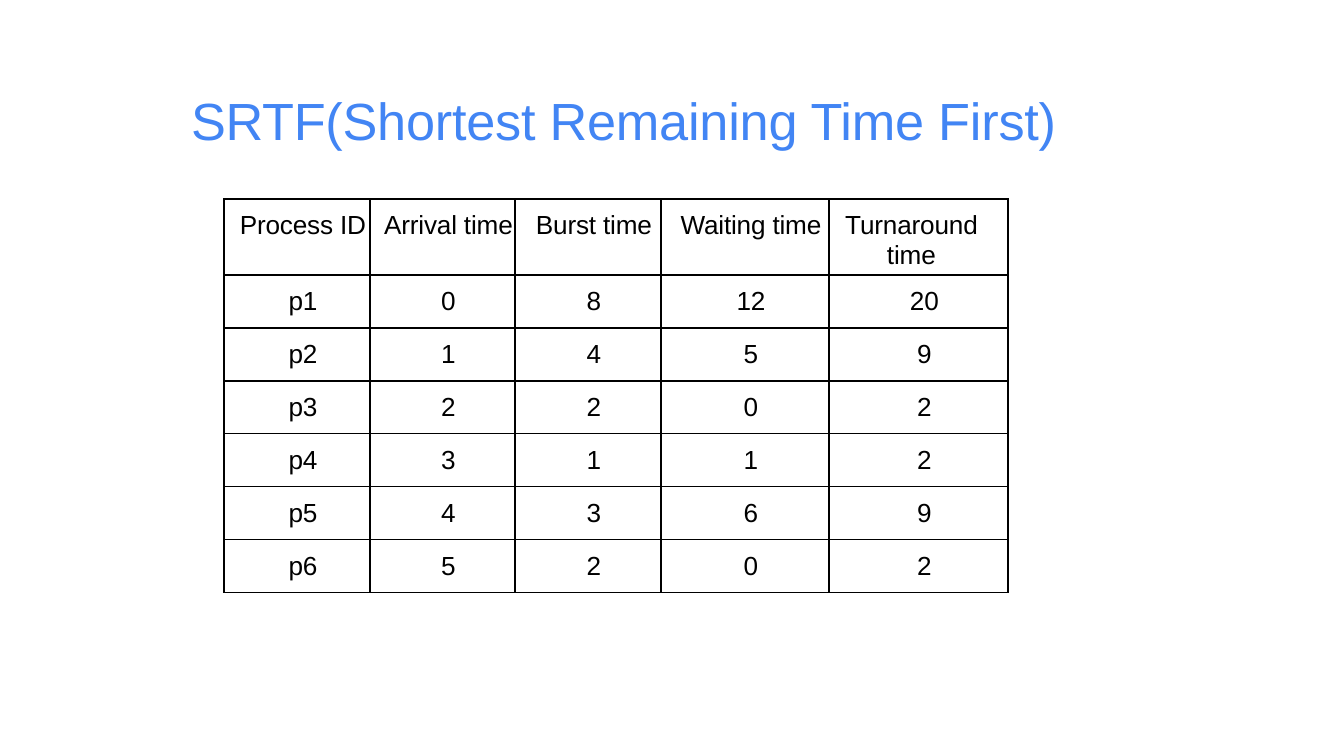
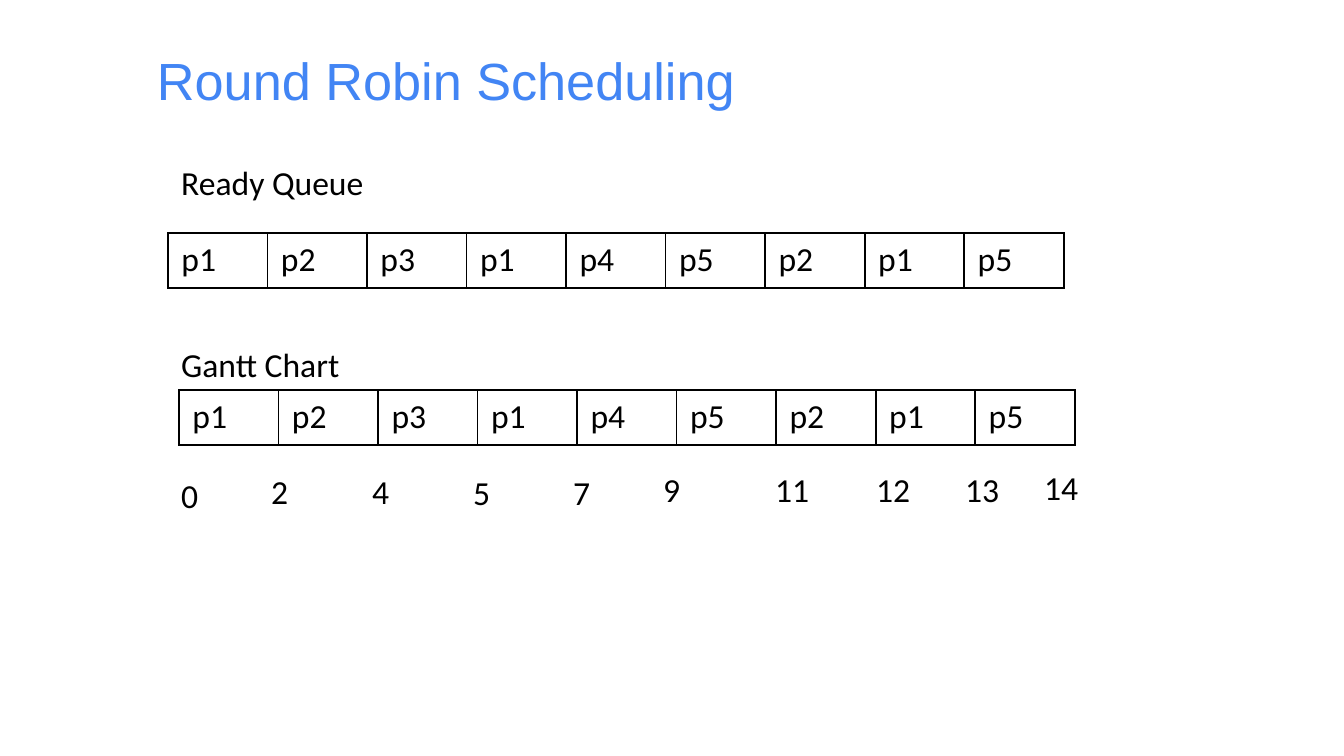
from lxml import etree
from pptx import Presentation
from pptx.dml.color import RGBColor
from pptx.enum.text import MSO_ANCHOR, MSO_AUTO_SIZE, PP_ALIGN
from pptx.oxml.ns import qn
from pptx.util import Pt

TOP = MSO_ANCHOR.TOP
GROW = MSO_AUTO_SIZE.SHAPE_TO_FIT_TEXT
LEFT, CENTER = PP_ALIGN.LEFT, PP_ALIGN.CENTER

BLUE = RGBColor(0x42, 0x85, 0xF4)
BLACK = RGBColor(0, 0, 0)
PX = 914400 / 134.4

SRTF_TITLE = "SRTF(Shortest Remaining Time First)"
SRTF_ROWS = [
    ("Process ID", "Arrival time", "Burst time", "Waiting time", "Turnaround time"),
    ("p1", "0", "8", "12", "20"),
    ("p2", "1", "4", "5", "9"),
    ("p3", "2", "2", "0", "2"),
    ("p4", "3", "1", "1", "2"),
    ("p5", "4", "3", "6", "9"),
    ("p6", "5", "2", "0", "2"),
]
SRTF_WIDTHS = [146, 145, 146, 168, 179]
SRTF_HEIGHTS = [76] + [53] * 6

ROBIN_TITLE = "Round Robin Scheduling"
QUEUE = ("p1", "p2", "p3", "p1", "p4", "p5", "p2", "p1", "p5")
QUEUE_WIDTHS = [896 / len(QUEUE)] * len(QUEUE)
QUEUE_HEIGHT = 55
QUEUE_PLACES = [(179, 390), (168, 233)]
HEADINGS = [("Ready Queue", 168, 155, 302), ("Gantt Chart", 168, 337, 231)]
TIMES = [
    ("0", 168, 468), ("2", 258, 464), ("4", 359, 464), ("5", 460, 465),
    ("7", 560, 465), ("9", 650, 462), ("11", 762, 462), ("12", 863, 462),
    ("13", 952, 462), ("14", 1031, 460),
]


def px(n):
    return round(n * PX)


def set_font(p, name, size, color):
    p.font.name = name
    p.font.size = Pt(size)
    p.font.color.rgb = color


def tighten(p):
    for r in p.runs:
        r._r.get_or_add_rPr().set("spc", "-10")


def add_slide(prs, title, x, y, w, h):
    s = prs.slides.add_slide(prs.slide_layouts[5])
    sp = s.shapes.title
    sp.left, sp.top, sp.width, sp.height = map(px, (x, y, w, h))
    tf = sp.text_frame
    tf.text = title
    tf.margin_left = tf.margin_top = tf.margin_right = tf.margin_bottom = 0
    tf.vertical_anchor = TOP
    tf.auto_size = GROW
    p = tf.paragraphs[0]
    p.alignment = LEFT
    set_font(p, "Arial", 28, BLUE)
    return s


def set_borders(cell, width):
    tcPr = cell._tc.get_or_add_tcPr()
    for side in ("a:lnL", "a:lnR", "a:lnT", "a:lnB"):
        ln = etree.SubElement(tcPr, qn(side), w=str(Pt(width)))
        fill = etree.SubElement(ln, qn("a:solidFill"))
        etree.SubElement(fill, qn("a:srgbClr"), val=str(BLACK))


def add_grid(s, rows, x, y, widths, heights, font, size, border):
    frame = s.shapes.add_table(len(rows), len(widths), px(x), px(y),
                               px(sum(widths)), px(sum(heights)))
    table = frame.table
    table.first_row = table.horz_banding = False
    for column, w in zip(table.columns, widths):
        column.width = px(w)
    for row, h, texts in zip(table.rows, heights, rows):
        row.height = px(h)
        for cell, text in zip(row.cells, texts):
            cell.text = text
            set_borders(cell, border)
            cell.fill.background()
            set_font(cell.text_frame.paragraphs[0], font, size, BLACK)
    return table


def add_label(s, text, x, y, w, wrap):
    tf = s.shapes.add_textbox(px(x), px(y), px(w), px(54)).text_frame
    tf.text = text
    tf.word_wrap = wrap
    tf.auto_size = GROW
    set_font(tf.paragraphs[0], "Calibri", 18, BLACK)


def build_srtf(prs):
    s = add_slide(prs, SRTF_TITLE, 191, 87, 952, 66)
    tf = s.shapes.title.text_frame
    tf.margin_top = px(1)
    tf.paragraphs[0].space_before = Pt(1)
    tighten(tf.paragraphs[0])
    table = add_grid(s, SRTF_ROWS, 224, 199, SRTF_WIDTHS, SRTF_HEIGHTS, "Arial", 14, 0.75)
    for cell in table.iter_cells():
        cell.margin_left = cell.margin_right = cell.margin_bottom = 0
        cell.margin_top = px(12)
        p = cell.text_frame.paragraphs[0]
        p.alignment = CENTER
        p.space_before = Pt(6.2)
        p._p.get_or_add_pPr().set("marL", str(px(12)))
        if len(cell.text) > 1:
            tighten(p)
    table.cell(0, 4).margin_right = px(26)


def build_robin(prs):
    s = add_slide(prs, ROBIN_TITLE, 157, 48, 997, 63)
    for x, y in QUEUE_PLACES:
        add_grid(s, [QUEUE], x, y, QUEUE_WIDTHS, [QUEUE_HEIGHT], "Calibri", 18, 1)
    for text, x, y in TIMES:
        add_label(s, text, x, y, 44 if len(text) == 1 else 62, False)
    for text, x, y, w in HEADINGS:
        add_label(s, text, x, y, w, True)


def main():
    prs = Presentation()
    prs.slide_width, prs.slide_height = px(1344), px(756)
    build_srtf(prs)
    build_robin(prs)
    prs.save("out.pptx")


if __name__ == "__main__":
    main()
